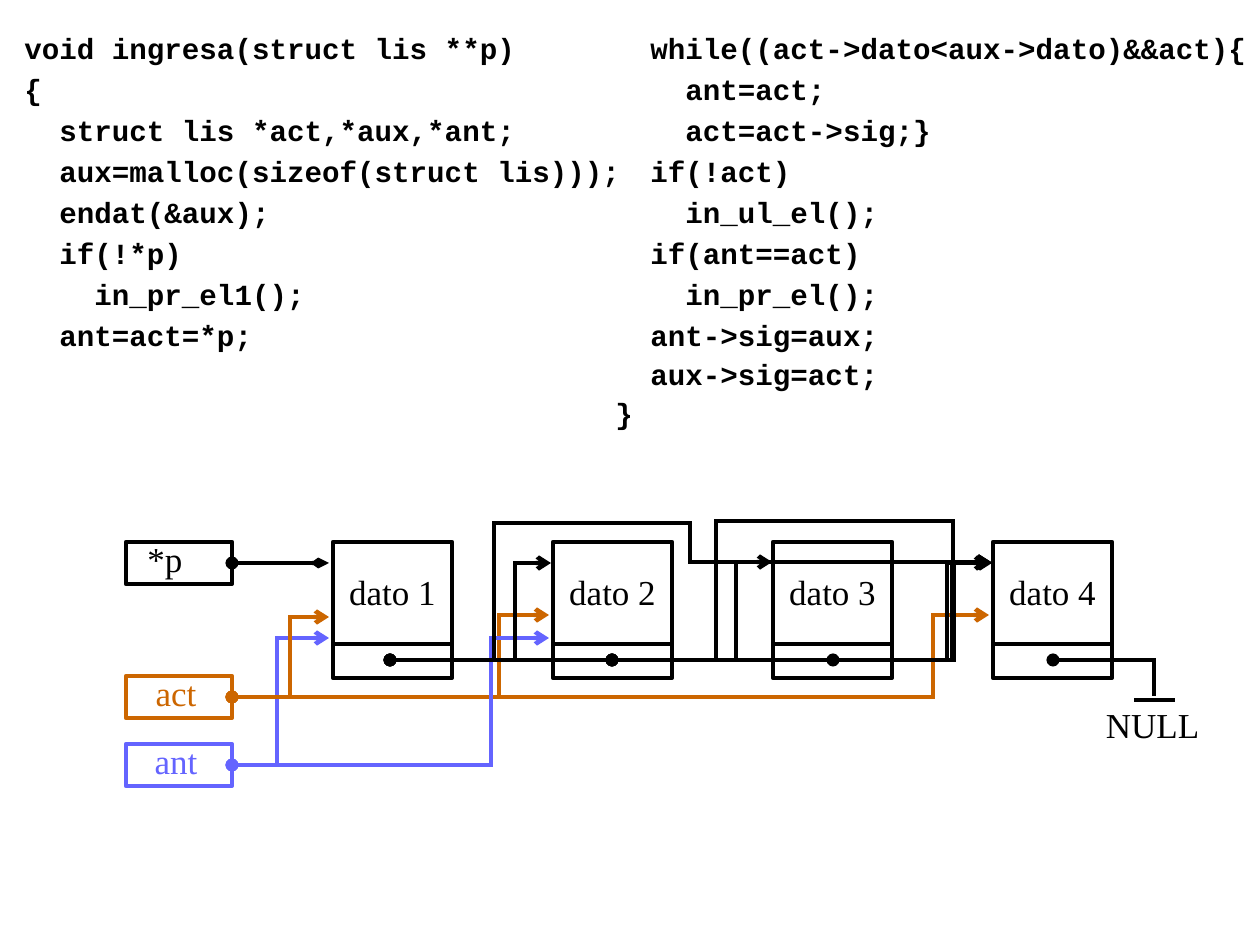
"""Slide with the code for an ordered linked-list insertion and its pointer diagram."""
from lxml.etree import SubElement
from pptx import Presentation
from pptx.dml.color import RGBColor
from pptx.enum.shapes import MSO_CONNECTOR, MSO_SHAPE
from pptx.enum.text import MSO_ANCHOR, PP_ALIGN
from pptx.oxml.ns import qn
from pptx.util import Pt

PX = 914400 / 105
COLORS = {"black": "000000", "white": "FFFFFF", "orange": "CC6600", "violet": "6464FF"}


def add_box(frame, text, color, right=0, bottom=0):
    box = page.shapes.add_shape(MSO_SHAPE.RECTANGLE, *[int(n * PX) for n in frame])
    box.shadow.inherit = False
    box.fill.background()
    box.line.color.rgb = RGBColor.from_string(COLORS[color])
    box.line.width = Pt(3)
    label = box.text_frame
    label.text = text
    label.word_wrap = True
    label.vertical_anchor = MSO_ANCHOR.MIDDLE
    label.margin_left = label.margin_top = 0
    label.margin_right, label.margin_bottom = int(right * PX), int(bottom * PX)
    para = label.paragraphs[0]
    para.alignment = PP_ALIGN.CENTER
    para.font.name = "Times New Roman"
    para.font.size = Pt(24)
    para.font.color.rgb = RGBColor.from_string(COLORS[color])
    return box


def add_line(start, end, color, head=None, tail=None, tail_width="med"):
    line = page.shapes.add_connector(
        MSO_CONNECTOR.STRAIGHT, *[int(n * PX) for n in (*start, *end)])
    line.line.color.rgb = RGBColor.from_string(COLORS[color])
    line.line.width = Pt(3)
    properties = line.element.spPr
    stroke = properties.find(qn("a:ln"))
    stroke.set("cap", "sq")
    if head:
        SubElement(stroke, qn("a:headEnd"), type=head)
    if tail:
        SubElement(stroke, qn("a:tailEnd"), type=tail, w=tail_width)
    SubElement(properties, qn("a:effectLst"))
    return line


deck = Presentation()
deck.slide_width, deck.slide_height = int(1260 * PX), int(945 * PX)
page = deck.slides.add_slide(deck.slide_layouts[6])

CODE = [
    ((14, 25, 617, 320), [
        "void ingresa(struct lis **p)",
        "{",
        "  struct lis *act,*aux,*ant;",
        "  aux=malloc(sizeof(struct lis)));",
        "  endat(&aux);",
        "  if(!*p)",
        "    in_pr_el1();",
        "  ant=act=*p;",
    ]),
    ((605, 25, 652, 394), [
        "  while((act->dato<aux->dato)&&act){",
        "    ant=act;",
        "    act=act->sig;}",
        "  if(!act)",
        "    in_ul_el();",
        "  if(ant==act)",
        "    in_pr_el();",
        "  ant->sig=aux;",
        "  aux->sig=act;",
        "}",
    ]),
]
for frame, lines in CODE:
    box = page.shapes.add_textbox(*[int(n * PX) for n in frame])
    box.text_frame.word_wrap = True
    box.text_frame.text = "\n".join(lines)
    for row, para in enumerate(box.text_frame.paragraphs):
        if row:
            para.space_before = Pt(4.1 if row < 8 else 2.9)
        para.font.name = "Courier New"
        para.font.size = Pt(20)
        para.font.bold = True
        para.font.color.rgb = RGBColor.from_string(COLORS["black"])

for index in range(4):
    left = 333 + 220 * index
    node = add_box((left, 542, 119, 136), f"dato {index + 1}", "black", bottom=37)
    node.fill.solid()
    node.fill.fore_color.rgb = RGBColor.from_string(COLORS["white"])
    add_line((left, 644), (left + 119, 644), "black")

POINTERS = [("*p", 542, "black", 28), ("act", 676, "orange", 6), ("ant", 744, "violet", 6)]
pointers = {}
for name, top, color, right in POINTERS:
    pointers[name] = add_box((126, top, 106, 42), name, color, right, 9)

POINTER_ROUTES = [
    ("ant", "violet", [(232, 765), (277, 765), (277, 638), (329, 638)]),
    ("act", "orange", [(232, 697), (290, 697), (290, 617), (329, 617)]),
    ("*p", "black", [(232, 563), (329, 563)]),
    ("act", "orange", [(232, 697), (933, 697), (933, 615), (989, 615)]),
    ("act", "orange", [(232, 697), (499, 697), (499, 615), (549, 615)]),
    ("ant", "violet", [(232, 765), (491, 765), (491, 638), (549, 638)]),
]
NODE_ROUTES = [
    [(390, 660), (947, 660), (947, 563), (992, 563)],
    [(390, 660), (494, 660), (494, 523), (690, 523), (690, 562), (991, 562)],
    [(390, 660), (515, 660), (515, 563), (551, 563)],
    [(612, 660), (716, 660), (716, 521), (953, 521), (953, 562), (991, 562)],
    [(612, 660), (736, 660), (736, 562), (772, 562)],
    [(612, 660), (952, 660), (952, 562), (991, 562)],
    [(833, 660), (954, 660), (954, 563), (989, 563)],
    [(1053, 660), (1154, 660), (1154, 694)],
]
for name, color, points in POINTER_ROUTES + [(None, "black", points) for points in NODE_ROUTES]:
    last = len(points) - 2
    for step, (start, end) in enumerate(zip(points, points[1:])):
        head = "oval" if step == 0 else None
        tail = "arrow" if step == last and points[-1][0] < 1000 else None
        line = add_line(start, end, color, head, tail, "sm" if name == "*p" else "med")
        if name and step == 0:
            line.begin_connect(pointers[name], 3)

add_line((1136, 700), (1173, 700), "black")
null_label = add_box((1100, 706, 105, 36), "NULL", "black")
null_label.line.fill.background()

deck.save("out.pptx")
